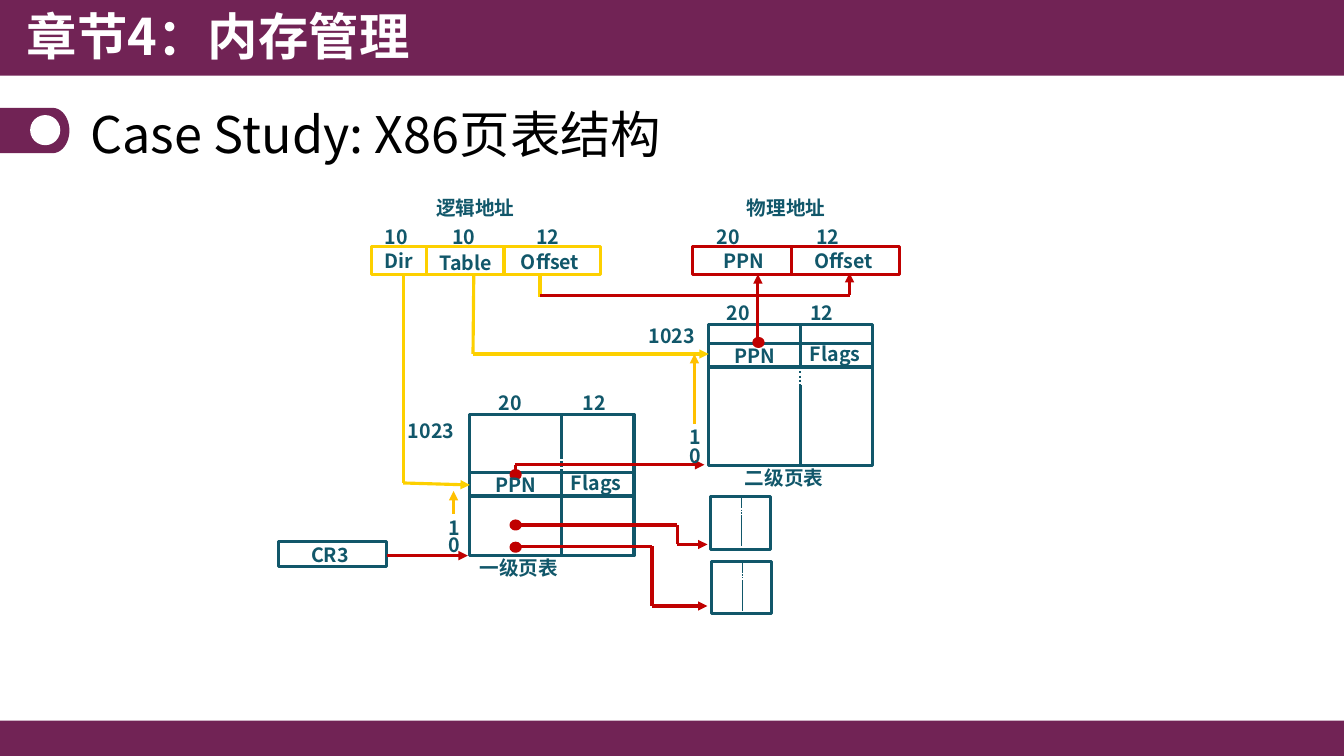
from itertools import pairwise
from math import cos, pi, sin

from lxml.etree import SubElement
from pptx import Presentation
from pptx.dml.color import RGBColor
from pptx.enum.dml import MSO_LINE
from pptx.enum.shapes import MSO_CONNECTOR, MSO_SHAPE
from pptx.enum.text import MSO_ANCHOR, MSO_AUTO_SIZE
from pptx.oxml.ns import qn
from pptx.util import Cm, Pt

PLUM, TEAL, RED = "712355", "11576A", "C00000"
YELLOW, AMBER, WHITE, BLACK = "FDD000", "FFC000", "FFFFFF", "000000"
FONT = "Noto Sans CJK SC"

deck = Presentation()
deck.slide_width, deck.slide_height = Cm(33.87), Cm(19.05)
slide = deck.slides.add_slide(deck.slide_layouts[6])
shapes = slide.shapes


def write(text, left, top, width, height=0.86, size=14, color=TEAL, bold=True,
          wrap=False, fit=True, anchor=MSO_ANCHOR.TOP):
    frame = shapes.add_textbox(Cm(left), Cm(top), Cm(width), Cm(height)).text_frame
    frame.word_wrap = wrap
    frame.auto_size = MSO_AUTO_SIZE.SHAPE_TO_FIT_TEXT if fit else MSO_AUTO_SIZE.NONE
    frame.vertical_anchor = anchor
    run = frame.paragraphs[0].add_run()
    run.text = text
    run.font.size, run.font.bold, run.font.name = Pt(size), bold, FONT
    run.font.color.rgb = RGBColor.from_string(color)
    SubElement(run.font._element, qn("a:ea")).set("typeface", FONT)


def wire(points, color=TEAL, weight=2.25, arrow=False, dotted=False):
    for (x1, y1), (x2, y2) in pairwise(points):
        segment = shapes.add_connector(MSO_CONNECTOR.STRAIGHT, Cm(x1), Cm(y1), Cm(x2), Cm(y2))
        segment.line.color.rgb = RGBColor.from_string(color)
        segment.line.width = Pt(weight)
        if dotted:
            segment.line.dash_style = MSO_LINE.ROUND_DOT
        SubElement(segment._element.spPr, qn("a:effectLst"))
    if arrow:
        SubElement(segment.line._get_or_add_ln(), qn("a:tailEnd")).set("type", "triangle")


tab_x, tab_y, tab_rx, tab_ry = 1.33, 3.29, 0.42, 0.57
tab_outline = shapes.build_freeform(0, Cm(tab_y - tab_ry))
tab_arc = [(Cm(tab_x + tab_rx * cos(turn * pi / 24)), Cm(tab_y + tab_ry * sin(turn * pi / 24)))
           for turn in range(-12, 13)]
tab_outline.add_line_segments(tab_arc + [(0, Cm(tab_y + tab_ry))])
tab = tab_outline.convert_to_shape()
tab.shadow.inherit = False
tab.fill.solid()
tab.fill.fore_color.rgb = RGBColor.from_string(PLUM)
tab.line.fill.background()

page_tables = [
    (17.86, 8.18, 0.48, 0.2, "二级页表", 18.52),
    (11.84, 10.44, 1.47, 0.48, "一级页表", 11.84),
]
small_tables = [(17.91, 12.52), (17.93, 14.15)]

boxes = [
    (MSO_SHAPE.RECTANGLE, 0, 18.16, 33.87, 0.89, PLUM, None),
    (MSO_SHAPE.RECTANGLE, 0, 0, 33.87, 1.91, PLUM, None),
    (MSO_SHAPE.OVAL, 0.76, 2.9, 0.76, 0.76, WHITE, None),
    (MSO_SHAPE.RECTANGLE, 9.37, 6.22, 5.77, 0.69, None, YELLOW),
    (MSO_SHAPE.RECTANGLE, 17.45, 6.22, 5.21, 0.69, None, RED),
    (MSO_SHAPE.RECTANGLE, 7.01, 13.64, 2.74, 0.64, None, TEAL),
]
for left, top, entry, _, _, _ in page_tables:
    boxes.append((MSO_SHAPE.RECTANGLE, left, top, 4.14, 3.56, None, TEAL))
    boxes.append((MSO_SHAPE.RECTANGLE, left, top + entry, 4.14, 0.59, None, TEAL))
for left, top in small_tables:
    boxes.append((MSO_SHAPE.RECTANGLE, left, top, 1.52, 1.32, None, TEAL))
for left, top in [(12.88, 11.86), (12.88, 13.13), (12.88, 13.69), (19, 8.53)]:
    boxes.append((MSO_SHAPE.OVAL, left, top, 0.23, 0.2, RED, RED))

for kind, left, top, width, height, fill, outline in boxes:
    box = shapes.add_shape(kind, Cm(left), Cm(top), Cm(width), Cm(height))
    box.shadow.inherit = False
    if fill:
        box.fill.solid()
        box.fill.fore_color.rgb = RGBColor.from_string(fill)
    else:
        box.fill.background()
    if outline:
        box.line.color.rgb = RGBColor.from_string(outline)
        box.line.width = Pt(2.25)
    else:
        box.line.fill.background()

for x, color in [(10.74, YELLOW), (12.7, YELLOW), (19.95, RED)]:
    wire([(x, 6.25), (x, 6.91)], color)

for left, top, entry, bits_shift, name, name_left in page_tables:
    middle = left + 2.31
    wire([(middle, top), (middle, top + 1.1)])
    wire([(middle, top + 1.07), (middle, top + 1.5)], weight=1.5, dotted=True)
    wire([(middle, top + 1.52), (middle, top + 3.56)])
    write("20", left + bits_shift, top - 0.71, 1.12)
    write("12", left + bits_shift + 2.11, top - 0.71, 1.12)
    write("PPN", left + 0.39, top + entry - 0.13, 1.6)
    write("Flags", left + 2.3, top + entry - 0.16, 1.8)
    write(name, name_left, top + 3.44, 4.78, wrap=True)

for left, top in small_tables:
    middle = left + 0.78
    for start, end, dotted in [(0, 0.25, False), (0.25, 0.5, True), (0.5, 1.25, False)]:
        wire([(middle, top + start), (middle, top + end)], weight=1, dotted=dotted)

routes = [
    (YELLOW, False, [(13.61, 6.88), (13.61, 7.49)]),
    (RED, True, [(13.61, 7.44), (21.41, 7.44), (21.41, 6.88)]),
    (YELLOW, True, [(11.94, 6.88), (11.92, 8.92), (17.86, 8.92)]),
    (YELLOW, True, [(10.16, 6.91), (10.16, 12.17), (11.84, 12.22)]),
    (AMBER, True, [(11.43, 12.95), (11.43, 12.37)]),
    (AMBER, True, [(17.5, 10.69), (17.5, 8.92)]),
    (RED, True, [(19.1, 8.69), (19.1, 6.91)]),
    (RED, True, [(9.75, 14), (11.79, 14)]),
    (RED, True, [(12.99, 12.01), (12.99, 11.71), (17.75, 11.71)]),
    (RED, True, [(13.12, 13.23), (17.07, 13.23), (17.07, 13.72), (17.83, 13.72)]),
    (RED, True, [(13.12, 13.77), (16.43, 13.77), (16.43, 15.27), (17.83, 15.27)]),
]
for color, arrow, points in routes:
    wire(points, color, arrow=arrow)

for text, left, top, width in [
    ("10", 9.45, 5.54, 1.12), ("10", 11.15, 5.54, 1.12), ("12", 13.26, 5.54, 1.12),
    ("20", 17.81, 5.54, 1.12), ("12", 20.32, 5.54, 1.12),
    ("Dir", 9.45, 6.15, 1.27), ("Table", 10.82, 6.2, 1.83), ("Offset", 12.88, 6.17, 2.06),
    ("PPN", 17.98, 6.15, 1.6), ("Offset", 20.27, 6.15, 2.06),
    ("1", 17.12, 10.59, 0.81), ("0", 17.12, 11.05, 0.81),
    ("1", 11.05, 12.88, 0.81), ("0", 11.05, 13.31, 0.81),
]:
    write(text, left, top, width)

for text, left, top, width in [
    ("逻辑地址", 10.74, 4.8, 5.64), ("物理地址", 18.57, 4.8, 6.07),
    ("1023", 16.1, 8.03, 2.59), ("1023", 10.03, 10.44, 2.59), ("CR3", 7.59, 13.56, 2.59),
]:
    write(text, left, top, width, wrap=True)

write("章节4：内存管理", 0.43, 0, 16.94, 1.96, size=36, color=WHITE, wrap=True, fit=False)
write("Case Study: X86页表结构", 2.03, 2.41, 29.29, 1.91, size=36, color=BLACK,
      bold=False, wrap=True, fit=False, anchor=MSO_ANCHOR.MIDDLE)

deck.save("out.pptx")
